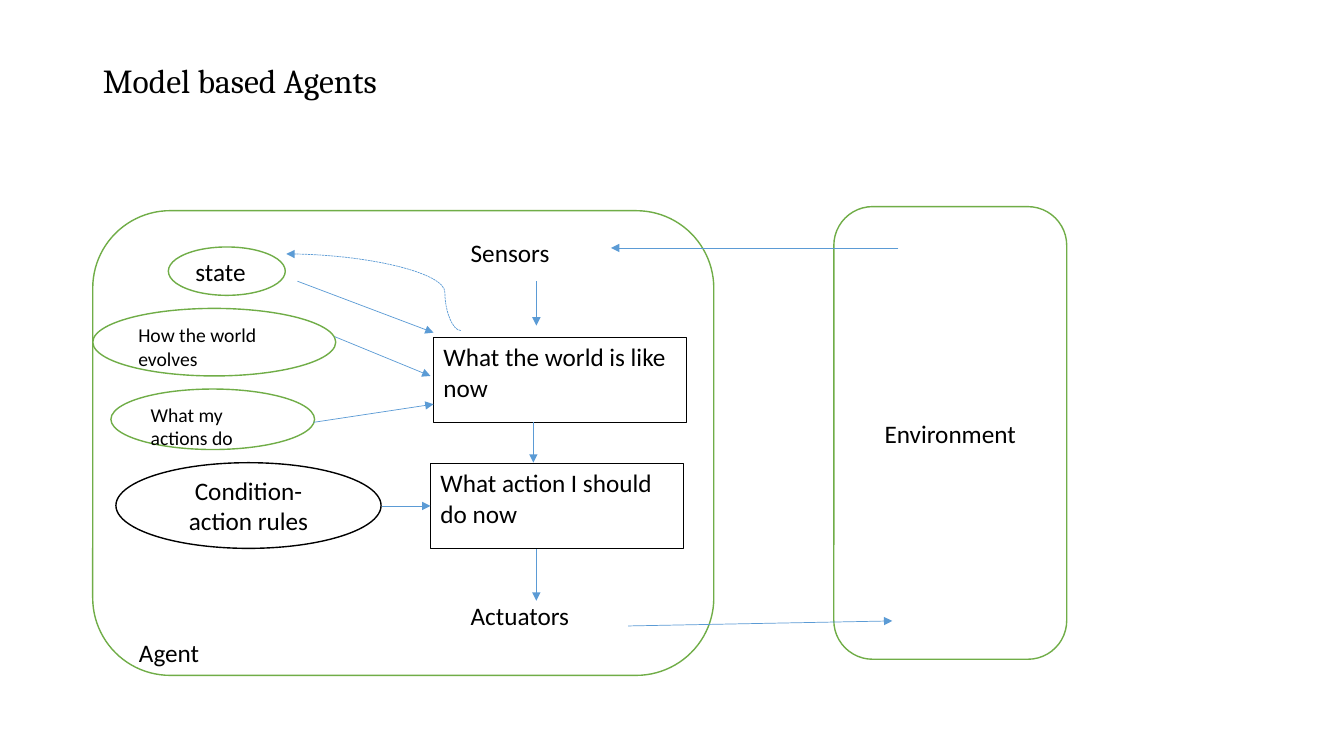
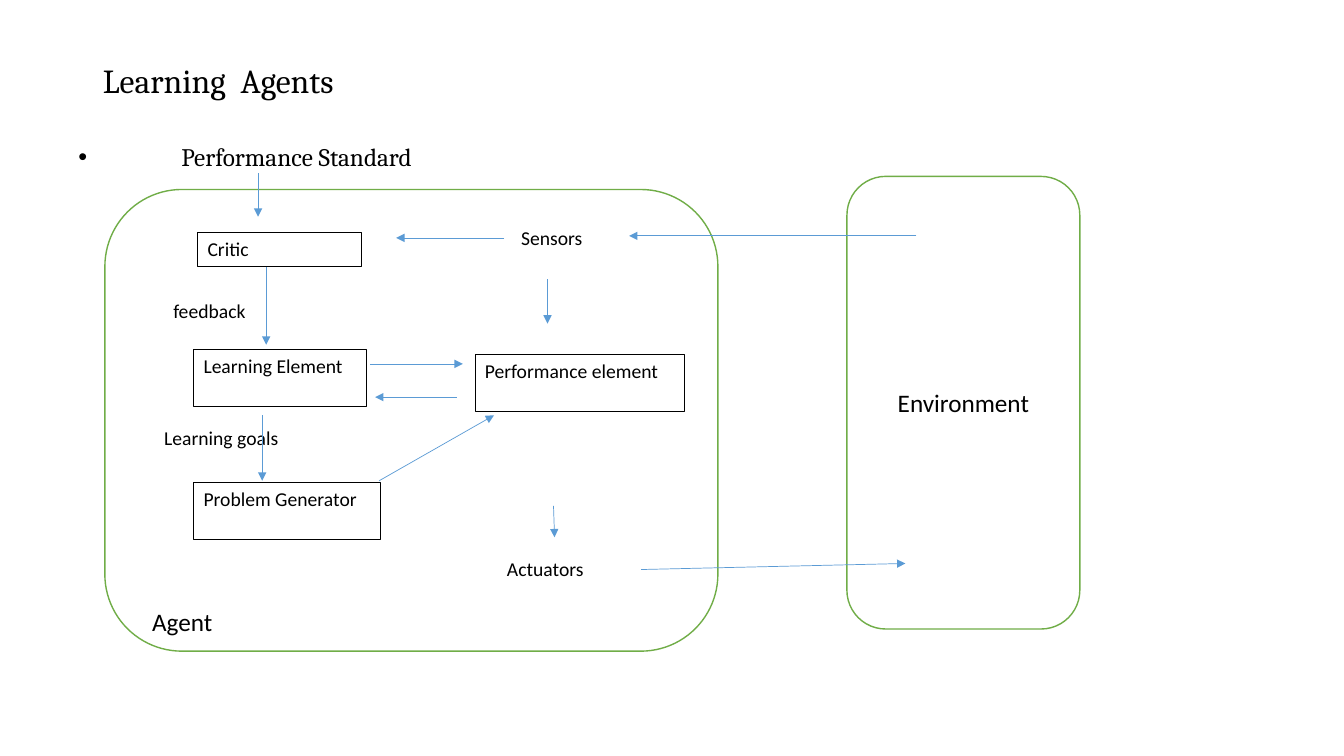
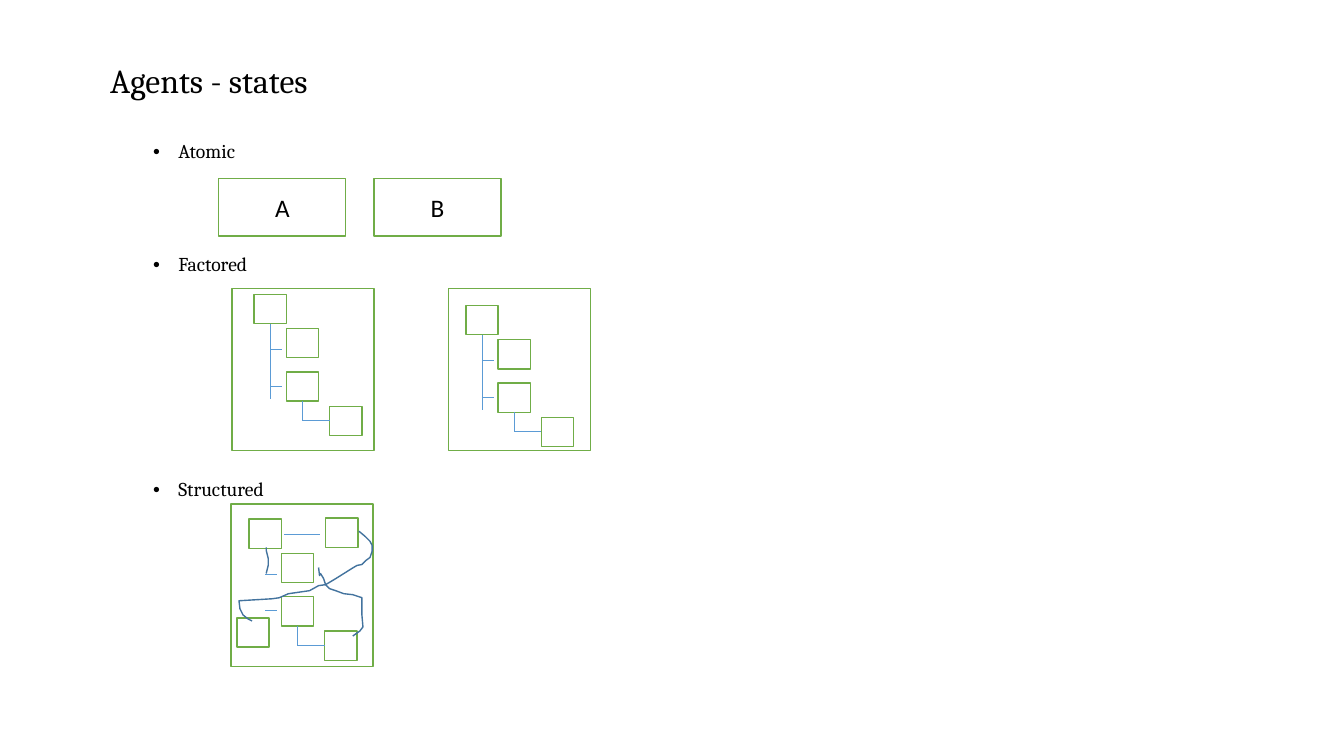
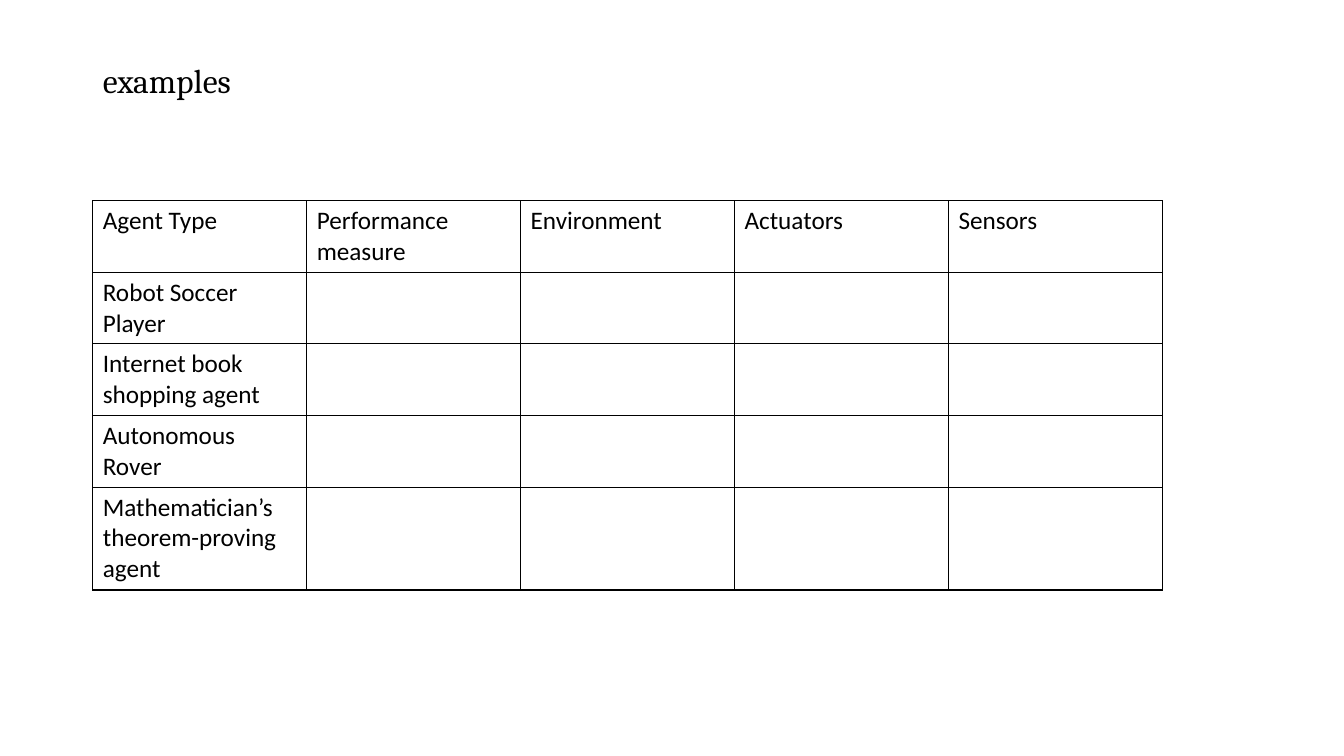
from dataclasses import dataclass
from functools import partial
from typing import NamedTuple, Optional

from lxml.etree import SubElement
from pptx import Presentation
from pptx.dml.color import RGBColor
from pptx.enum.dml import MSO_LINE
from pptx.enum.shapes import MSO_CONNECTOR as Connector, MSO_SHAPE as Preset
from pptx.enum.text import MSO_ANCHOR as Anchor, MSO_AUTO_SIZE as AutoSize, PP_ALIGN as Align
from pptx.oxml.ns import qn
from pptx.util import Inches, Pt

COLORS = {"text": "000000", "paper": "FFFFFF", "green": "70AD47", "blue": "5B9BD5", "ink": "43739E"}
HEADING_FONT, BODY_FONT = "Cambria", "Calibri"
LARGE, SMALL = 18, 14
GRID = 0.1  # inches in one column or row of the layout grid
TITLE_ONLY = 5


class Area(NamedTuple):
    """Left, top, width and height in grid columns and rows."""
    col: float
    row: float
    cols: float
    rows: float


class Point(NamedTuple):
    col: float
    row: float


@dataclass(frozen=True)
class Node:
    """A text with an optional outline; without a preset it is a plain label."""
    text: str
    area: Area
    size: int = LARGE
    preset: Optional[Preset] = None
    line: str = "green"
    weight: float = 1
    filled: bool = True
    align: Align = Align.LEFT
    anchor: Anchor = Anchor.TOP


@dataclass(frozen=True)
class Link:
    start: Point
    end: Point
    arrow: bool = True


@dataclass(frozen=True)
class Bullet:
    text: str
    space_before: float


Step = partial(Node, preset=Preset.RECTANGLE, line="text", weight=0.25, filled=False)
Oval = partial(Node, preset=Preset.OVAL)
Centered = partial(Node, align=Align.CENTER, anchor=Anchor.MIDDLE)
Frame = partial(Centered, preset=Preset.ROUNDED_RECTANGLE)
Square = partial(Centered, preset=Preset.RECTANGLE)


def units(*lengths: float) -> list:
    return [Inches(length * GRID) for length in lengths]


def color(name: str) -> RGBColor:
    return RGBColor.from_string(COLORS[name])


def style_para(para, size: float, family: str = BODY_FONT, align: Align = Align.LEFT) -> None:
    para.alignment = align
    para.font.size = Pt(size)
    para.font.name = family
    para.font.color.rgb = color("text")


def style_line(line, name: str, weight: float) -> None:
    line.color.rgb = color(name)
    line.width = Pt(weight)


def add_page(deck, title: str):
    page = deck.slides.add_slide(deck.slide_layouts[TITLE_ONLY])
    box = page.shapes.title
    box.left, box.top, box.width, box.height = units(9.2, 4, 115, 8.3)
    frame = box.text_frame
    frame.text = title
    frame.auto_size = AutoSize.NONE
    frame.vertical_anchor = Anchor.MIDDLE
    frame.paragraphs[0].line_spacing = 0.9
    style_para(frame.paragraphs[0], 24, HEADING_FONT)
    return page


def draw_node(page, node: Node) -> None:
    if node.preset is None:
        shape = page.shapes.add_textbox(*units(*node.area))
    else:
        shape = page.shapes.add_shape(node.preset, *units(*node.area))
        shape.shadow.inherit = False
        style_line(shape.line, node.line, node.weight)
        if node.filled:
            shape.fill.solid()
            shape.fill.fore_color.rgb = color("paper")
        else:
            shape.fill.background()
    if node.text:
        frame = shape.text_frame
        frame.word_wrap = True
        frame.vertical_anchor = node.anchor
        frame.text = node.text
        style_para(frame.paragraphs[0], node.size, align=node.align)


def draw_link(page, link: Link, kind: Connector = Connector.STRAIGHT, dash: Optional[MSO_LINE] = None):
    connector = page.shapes.add_connector(kind, *units(*link.start, *link.end))
    style_line(connector.line, "blue", 0.5)
    if dash is not None:
        connector.line.dash_style = dash
    if link.arrow:
        SubElement(connector.line._get_or_add_ln(), qn("a:tailEnd"), type="triangle")
    SubElement(connector._element.spPr, qn("a:effectLst"))
    return connector


def draw_diagram(page, nodes: list, links: list) -> None:
    for node in nodes:
        draw_node(page, node)
    for link in links:
        draw_link(page, link)


def draw_agent_world(page, agent: Area, environment: Point, label: Point) -> None:
    """Draw the agent frame beside the environment frame."""
    draw_node(page, Frame("", agent))
    draw_node(page, Frame("Environment", Area(*environment, 23.1, 44.9)))
    draw_node(page, Node("Agent", Area(*label, 11.9, 4.9)))


def draw_bullets(page, area: Area, bullets: list, size: float, margin: float, hang: float) -> None:
    frame = page.shapes.add_textbox(*units(*area)).text_frame
    frame.word_wrap = True
    for index, bullet in enumerate(bullets):
        para = frame.add_paragraph() if index else frame.paragraphs[0]
        para.text = bullet.text
        properties = para._p.get_or_add_pPr()
        indent, back = units(margin, -hang)
        properties.set("marL", str(indent))
        properties.set("indent", str(back))
        SubElement(properties, qn("a:buFont"), typeface="Arial")
        SubElement(properties, qn("a:buChar"), char="•")
        para.line_spacing = 0.9
        para.space_before = Pt(bullet.space_before)
        style_para(para, size, HEADING_FONT)


def build_model_based(deck) -> None:
    page = add_page(deck, "Model based Agents")
    draw_agent_world(page, Area(9.2, 20.9, 61.6, 46.1), Point(82.7, 20.5), Point(12.8, 62.7))
    nodes = [
        Node("Sensors", Area(45.7, 23, 14.9, 4.9)),
        Step("What action I should do now", Area(42.7, 45.9, 25.1, 8.5)),
        Step("What the world is like now", Area(43, 33.4, 25.1, 8.5)),
        Centered("Condition-action rules", Area(11.5, 45.9, 26.3, 8.5), preset=Preset.OVAL, line="text"),
        Node("Actuators", Area(45.7, 59.1, 16.6, 4.9)),
        Oval("state", Area(16.7, 24.5, 11.6, 4.8), anchor=Anchor.MIDDLE),
        Oval("How the world evolves", Area(9.2, 30.6, 24.1, 6.7), SMALL),
        Oval("What my actions do", Area(11, 38.6, 20.2, 6), SMALL),
    ]
    links = [
        Link(Point(53.2, 27.9), Point(53.2, 32.3)),
        Link(Point(52.9, 41.9), Point(52.9, 45.9)),
        Link(Point(53.2, 54.5), Point(53.2, 59.6)),
        Link(Point(62.3, 62.1), Point(88.5, 61.6)),
        Link(Point(89.1, 24.6), Point(60.6, 24.6)),
        Link(Point(29.5, 27.9), Point(43, 33)),
        Link(Point(33.2, 33.4), Point(42.7, 37.3)),
        Link(Point(31.1, 41.9), Point(43, 40.1)),
        Link(Point(37.9, 50.2), Point(42.7, 50.2)),
    ]
    draw_diagram(page, nodes, links)
    feedback = Link(Point(45.7, 32.8), Point(28.4, 25.2))
    curve = draw_link(page, feedback, Connector.CURVE, MSO_LINE.SQUARE_DOT)
    adjustments = curve._element.spPr.find(qn("a:prstGeom")).find(qn("a:avLst"))
    SubElement(adjustments, qn("a:gd"), name="adj1", fmla="val 9100")


def build_learning(deck) -> None:
    page = add_page(deck, "Learning  Agents")
    draw_bullets(page, Area(6.8, 13.9, 115, 5), [Bullet("Performance Standard", 10)], LARGE, 10.2, 10.2)
    draw_agent_world(page, Area(10.4, 18.8, 60.8, 45.8), Point(84, 17.5), Point(14.1, 59.7))
    nodes = [
        Node("Sensors", Area(50.7, 21.9, 14.9, 3.4), SMALL),
        Node("Actuators", Area(49.3, 54.8, 16.6, 3.4), SMALL),
        Step("Critic", Area(19.6, 23, 16.2, 3.4), SMALL),
        Step("Learning Element", Area(19.2, 34.6, 17.1, 5.7), SMALL),
        Step("Problem Generator", Area(19.2, 47.8, 18.5, 5.7), SMALL),
        Step("Performance element", Area(47.1, 35.1, 20.8, 5.7), SMALL),
        Node("Learning goals", Area(15.3, 41.8, 14.9, 3.4), SMALL),
        Node("feedback", Area(16.2, 29.2, 14.9, 3.4), SMALL),
    ]
    links = [
        Link(Point(25.6, 17.2), Point(25.6, 21.5)),
        Link(Point(26.4, 26.5), Point(26.4, 34.2)),
        Link(Point(26, 41.2), Point(26, 47.7)),
        Link(Point(54.3, 27.7), Point(54.3, 32.1)),
        Link(Point(54.9, 50.2), Point(55, 53.3)),
        Link(Point(63.6, 56.5), Point(89.8, 55.9)),
        Link(Point(90.9, 23.4), Point(62.4, 23.4)),
        Link(Point(50, 23.6), Point(39.3, 23.6)),
        Link(Point(36.7, 36.1), Point(45.9, 36.1)),
        Link(Point(45.3, 39.4), Point(37.2, 39.4)),
        Link(Point(37.6, 47.7), Point(49, 41.2)),
    ]
    draw_diagram(page, nodes, links)


def draw_state(page, frame: Point, root: Point, squares: list, lines: list) -> None:
    """Draw a framed state; squares and lines are offsets from its root square."""
    draw_node(page, Square("", Area(*frame, 14.1, 16.1)))
    for col, row in squares:
        draw_node(page, Square("", Area(root.col + col, root.row + row, 3.2, 2.9)))
    for col, row, end_col, end_row in lines:
        start = Point(root.col + col, root.row + row)
        end = Point(root.col + end_col, root.row + end_row)
        draw_link(page, Link(start, end, arrow=False))


def draw_stroke(page, points: list) -> None:
    """Draw an open hand-drawn line through the points."""
    first, *rest = [units(*point) for point in points]
    builder = page.shapes.build_freeform(*first, scale=1.0)
    builder.add_line_segments(rest, close=False)
    stroke = builder.convert_to_shape()
    stroke.shadow.inherit = False
    stroke.fill.background()
    style_line(stroke.line, "ink", 1)


def build_states(deck) -> None:
    page = add_page(deck, " Agents - states")
    bullets = [Bullet("Atomic", 5), Bullet("Factored", 65.5), Bullet("Structured", 145.5)]
    draw_bullets(page, Area(9.2, 13.6, 115, 54), bullets, SMALL, 7.5, 2.5)
    for index, name in enumerate("AB"):
        draw_node(page, Square(name, Area(21.7 + index * 15.4, 17.7, 12.6, 5.7)))

    squares = [(0, 0), (3.2, 3.4), (3.2, 7.7), (7.5, 11.1)]
    branches = [(1.6, 5.5, 2.8, 5.5), (1.6, 9.1, 2.8, 9.1), (4.8, 10.6, 4.8, 12.5), (4.8, 12.5, 7.5, 12.5)]
    trunk, bridge = (1.6, 2.9, 1.6, 10.4), (3.5, 1.5, 7, 1.5)
    draw_state(page, Point(23, 28.6), Point(25.2, 29.2), squares, [trunk, *branches])
    draw_state(page, Point(44.5, 28.6), Point(46.2, 30.3), squares, [trunk, *branches])
    loose = [(-1.2, 9.8), (7.6, -0.1)]
    draw_state(page, Point(22.9, 50), Point(24.7, 51.5), squares + loose, [*branches, bridge])

    strokes = [
        [(35.6, 52.7), (36.2, 53.2), (36.7, 53.7), (36.9, 54.1), (36.9, 54.7), (36.7, 55.3), (36.3, 55.6),
         (35.9, 56), (35.4, 56.1), (34.9, 56.4), (33.3, 57.4), (32.3, 58), (31.6, 58.1), (30.7, 58.6),
         (28.6, 58.9), (27.7, 59.3), (27, 59.4), (23.7, 59.6), (23.8, 60.4), (24.1, 61), (24.6, 61.4), (25, 61.6)],
        [(26.4, 56.9), (26.6, 56.1), (26.6, 55.4), (26.4, 54.6), (26.4, 54.3)],
        [(31.6, 56.3), (31.7, 57.1), (31.8, 56.9), (32.1, 57.4), (32.3, 58), (32.7, 58.4), (33.3, 58.6),
         (34.1, 58.9), (35, 59), (35.9, 59.3), (35.9, 61), (36, 62.2), (35.7, 62.6), (35, 63.1)],
    ]
    for points in strokes:
        draw_stroke(page, points)


def style_cell(cell, text: str) -> None:
    cell.text = text
    style_para(cell.text_frame.paragraphs[0], LARGE)
    properties = cell._tc.get_or_add_tcPr()
    for side in ("lnL", "lnR", "lnT", "lnB"):
        border = SubElement(properties, qn(f"a:{side}"), w=str(Pt(1)))
        fill = SubElement(border, qn("a:solidFill"))
        SubElement(fill, qn("a:srgbClr"), val=COLORS["text"])
    cell.fill.background()


def build_examples(deck) -> None:
    page = add_page(deck, "examples")
    headers = ["Agent Type", "Performance measure", "Environment", "Actuators", "Sensors"]
    agents = [
        "Robot Soccer Player",
        "Internet book shopping agent",
        "Autonomous Rover",
        "Mathematician’s theorem-proving agent",
    ]
    blanks = [""] * (len(headers) - 1)
    rows = [headers] + [[agent, *blanks] for agent in agents]
    area = units(9.2, 19.9, 106.1, 38.6)
    table = page.shapes.add_table(len(rows), len(headers), *area).table
    table.first_row = table.horz_banding = False
    heights = units(*[7.1] * len(agents), 10.2)
    for row, height, texts in zip(table.rows, heights, rows):
        row.height = height
        for cell, text in zip(row.cells, texts):
            style_cell(cell, text)


def main() -> None:
    deck = Presentation()
    deck.slide_width, deck.slide_height = Inches(13.33), Inches(7.5)
    for build in (build_model_based, build_learning, build_states, build_examples):
        build(deck)
    deck.save("out.pptx")


if __name__ == "__main__":
    main()
